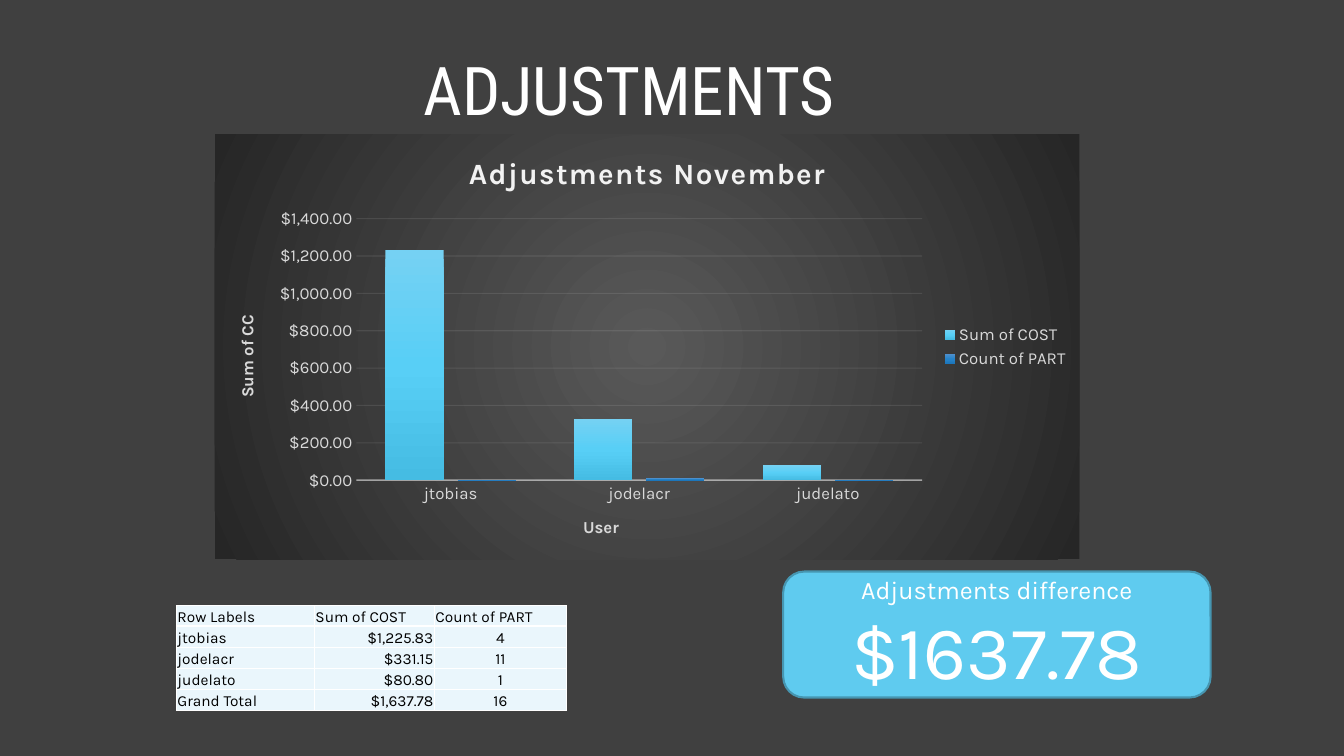
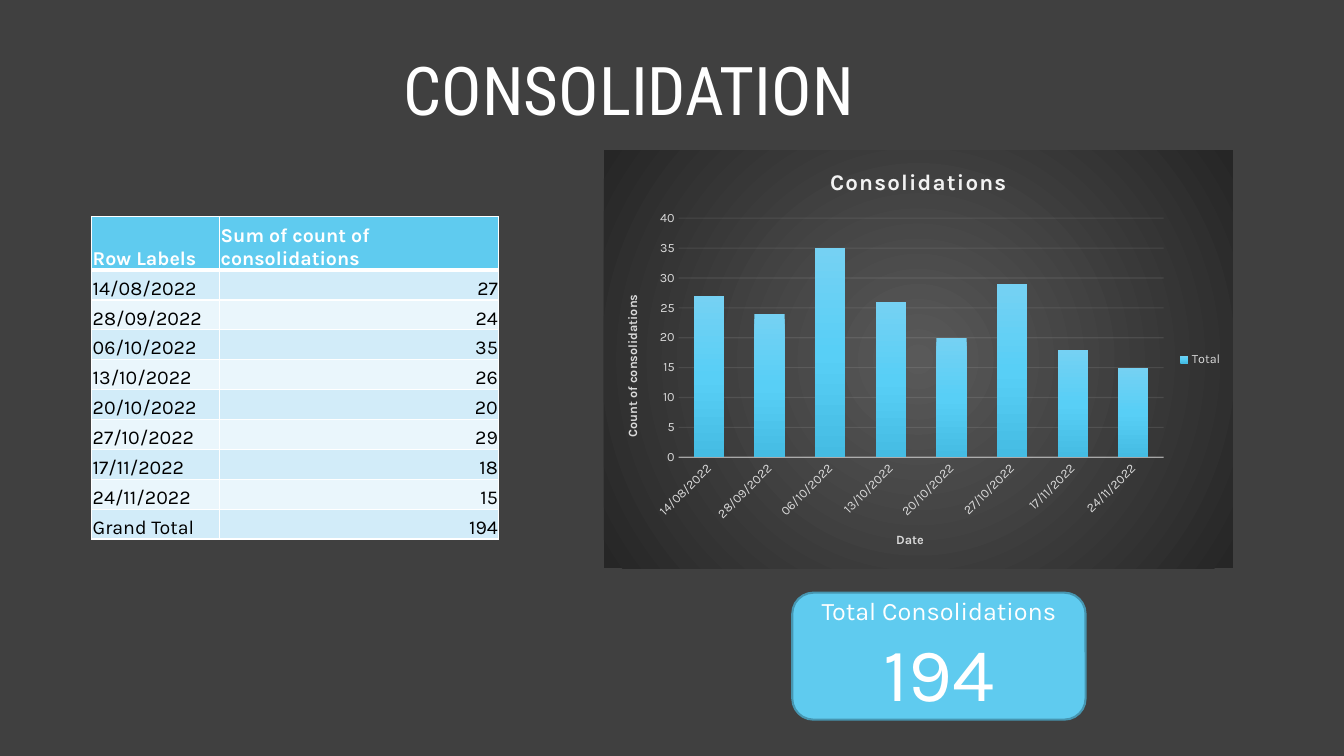
import dataclasses

import pptx
import pptx.chart.data
import pptx.dml.color
import pptx.enum.chart
import pptx.enum.shapes
import pptx.enum.text
import pptx.oxml
import pptx.oxml.ns
import pptx.util

Inches = pptx.util.Inches
Pt = pptx.util.Pt
ALIGN = pptx.enum.text.PP_ALIGN
ANCHOR = pptx.enum.text.MSO_ANCHOR
SIDES = {"l": ALIGN.LEFT, "c": ALIGN.CENTER, "r": ALIGN.RIGHT}


@dataclasses.dataclass(frozen=True)
class Theme:
    # Fonts
    head: str = "Roboto Condensed"
    body: str = "Karla"
    # Colours
    back: str = "404040"
    white: str = "FFFFFF"
    black: str = "000000"
    sky: str = "5FCBEF"
    edge: str = "4696B1"
    pale: str = "EAF6FC"
    band: str = "D2ECF9"
    label: str = "D9D9D9"
    rule: str = "F2F2F2"
    panel: tuple = ((0, "595959"), (100, "262626"))
    bars: tuple = (
        ((0, "75D1F3"), (50, "58CFF6"), (100, "45BCE3")),
        ((0, "5491CD"), (50, "2784CA"), (100, "1C76BB")),
    )
    # Type sizes
    title: int = 48
    figure: int = 54
    note: int = 18


THEME = Theme()


# Shared helpers
def color(code):
    return pptx.dml.color.RGBColor.from_string(code)


def place(box):
    return [Inches(side) for side in box]


def style(font, size, code, bold=False, face=THEME.body):
    font.name = face
    font.size = Pt(size)
    font.bold = bold
    font.color.rgb = color(code)


def write(para, text, size, code, align=ALIGN.LEFT, **look):
    para.alignment = align
    run = para.add_run()
    run.text = text
    style(run.font, size, code, **look)
    return run


def make(tag, inner, attrs=""):
    spaces = pptx.oxml.ns.nsdecls("a", "c")
    return pptx.oxml.parse_xml(f"<{tag} {spaces} {attrs}>{inner}</{tag}>")


def blend(stops, shade):
    marks = "".join(
        f'<a:gs pos="{pos * 1000}"><a:srgbClr val="{code}"/></a:gs>'
        for pos, code in stops
    )
    return make("a:gradFill", f"<a:gsLst>{marks}</a:gsLst>{shade}")


# Title
def add_title(slide, text, box):
    title = slide.shapes.title
    title.left, title.top, title.width, title.height = place(box)
    frame = title.text_frame
    frame.auto_size = pptx.enum.text.MSO_AUTO_SIZE.NONE
    frame.word_wrap = True
    frame.vertical_anchor = ANCHOR.BOTTOM
    frame.margin_left = frame.margin_right = 0
    write(frame.paragraphs[0], text, THEME.title, THEME.white,
          ALIGN.CENTER, face=THEME.head)


# Rounded box with a label and a large figure
def add_total(slide, label, figure, box):
    kind = pptx.enum.shapes.MSO_SHAPE.ROUNDED_RECTANGLE
    card = slide.shapes.add_shape(kind, *place(box))
    card.shadow.inherit = False
    card.fill.solid()
    card.fill.fore_color.rgb = color(THEME.sky)
    card.line.color.rgb = color(THEME.edge)
    card.line.width = Pt(1.5)
    frame = card.text_frame
    frame.word_wrap = True
    frame.vertical_anchor = ANCHOR.MIDDLE
    write(frame.paragraphs[0], label, THEME.note, THEME.white, ALIGN.CENTER)
    write(frame.add_paragraph(), figure, THEME.figure, THEME.white, ALIGN.CENTER)


# Table
def add_edges(cell, base):
    props = cell._tc.get_or_add_tcPr()
    widths = {"lnL": 1, "lnR": 1, "lnT": 1, "lnB": base}
    for spot, (side, width) in enumerate(widths.items()):
        fill = f'<a:solidFill><a:srgbClr val="{THEME.white}"/></a:solidFill>'
        props.insert(spot, make(f"a:{side}", fill, f'w="{Pt(width)}"'))


def add_grid(slide, rows, spot, cols, first, height, size, aligns, banded):
    box = (*spot, sum(cols), height)
    table = slide.shapes.add_table(len(rows), len(cols), *place(box)).table
    table.first_row = banded
    table.horz_banding = banded
    for col, width in zip(table.columns, cols):
        col.width = Inches(width)
    rest = (height - first) / (len(rows) - 1)
    for r, row in enumerate(rows):
        table.rows[r].height = Inches(rest if r else first)
        head = banded and r == 0
        fill = THEME.band if banded and r % 2 else THEME.pale
        for c, text in enumerate(row):
            cell = table.cell(r, c)
            cell.margin_left = cell.margin_right = cell.margin_top = Inches(0.01)
            cell.margin_bottom = 0
            cell.vertical_anchor = ANCHOR.BOTTOM
            cell.fill.solid()
            cell.fill.fore_color.rgb = color(THEME.sky if head else fill)
            write(cell.text_frame.paragraphs[0], text, size,
                  THEME.white if head else THEME.black,
                  SIDES[aligns[c]] if r else ALIGN.LEFT, bold=head)
            add_edges(cell, 3 if head else 1)


# Column chart
def add_axis(axis, name, size):
    axis.major_tick_mark = axis.minor_tick_mark = pptx.enum.chart.XL_TICK_MARK.NONE
    style(axis.tick_labels.font, size, THEME.label)
    para = axis.axis_title.text_frame.paragraphs[0]
    write(para, name, size, THEME.label, ALIGN.CENTER, bold=True)


def draw_rule(line, width):
    line.color.rgb = color(THEME.rule)
    line.width = Pt(width)


def add_plot(slide, box, title, names, cats, series, top, step, form, size, big, tilt=0):
    data = pptx.chart.data.CategoryChartData(number_format=form)
    data.categories = cats
    for name, values in series:
        data.add_series(name, values)
    kind = pptx.enum.chart.XL_CHART_TYPE.COLUMN_CLUSTERED
    chart = slide.shapes.add_chart(kind, *place(box), data).chart
    style(chart.font, 10, THEME.black)
    run = write(chart.chart_title.text_frame.paragraphs[0], title, big,
                THEME.rule, ALIGN.CENTER, bold=True)
    run.font._element.set("spc", "100")
    chart.chart_title.include_in_layout = False

    # Legend
    chart.has_legend = True
    chart.legend.position = pptx.enum.chart.XL_LEGEND_POSITION.RIGHT
    chart.legend.include_in_layout = False
    style(chart.legend.font, size, THEME.label)

    # Axes
    across, upright = chart.category_axis, chart.value_axis
    for axis, name in zip((across, upright), names):
        add_axis(axis, name, size)
    draw_rule(across.format.line, 1)
    upright.format.line.fill.background()
    upright.minimum_scale, upright.maximum_scale = 0, top
    upright.major_unit = step
    upright.tick_labels.number_format = form
    upright.tick_labels.number_format_is_linked = False
    upright.has_major_gridlines = True
    draw_rule(upright.major_gridlines.format.line, 0.75)

    # Line transparency and text angles
    root = chart.element
    for query, share in (("//c:catAx/c:spPr", 54), ("//c:majorGridlines", 10)):
        for tint in root.xpath(query + "//a:srgbClr"):
            tint.append(make("a:alpha", "", f'val="{share * 1000}"'))
    for query, turn in (("//c:catAx/c:txPr", tilt), ("//c:valAx/c:title", -90)):
        for body in root.xpath(query + "//a:bodyPr"):
            body.set("rot", str(turn * 60000))
            body.set("vert", "horz")

    # Columns and panel
    plot = chart.plots[0]
    plot.vary_by_categories = False
    plot.gap_width, plot.overlap = 100, -24
    for bar, stops in zip(plot.series, THEME.bars):
        bar.format.line.fill.background()
        bar._element.get_or_add_spPr().insert(
            0, blend(stops, '<a:lin ang="5400000" scaled="0"/>'))
    panel = make("c:spPr", "<a:ln><a:noFill/></a:ln>")
    panel.insert(0, blend(
        THEME.panel,
        '<a:path path="circle"><a:fillToRect l="50000" t="50000" '
        'r="50000" b="50000"/></a:path>'))
    root.xpath("c:chart")[0].addnext(panel)


def add_page(deck, title):
    slide = deck.slides.add_slide(deck.slide_layouts[5])
    add_title(slide, title, (2.32, 0.36, 7.84, 0.97))
    return slide


def show_costs(deck):
    slide = add_page(deck, "ADJUSTMENTS")
    users = ["jtobias", "jodelacr", "judelato"]
    heads = ("Sum of COST", "Count of PART")
    rows = [
        ("Row Labels", *heads),
        ("jtobias", "$1,225.83", "4"),
        ("jodelacr", "$331.15", "11"),
        ("judelato", "$80.80", "1"),
        ("Grand Total", "$1,637.78", "16"),
    ]
    add_total(slide, "Adjustments difference", "$1637.78", (7.77, 5.67, 4.24, 1.25))
    add_grid(slide, rows, (1.75, 6.01), (1.37, 1.19, 1.31), 0.2, 1.04,
             11, "lrc", False)
    add_plot(slide, (2.13, 1.33, 8.58, 4.22), "Adjustments November",
             ("User", "Sum of CC"), users,
             zip(heads, ([1230, 330, 80], [0, 10, 0])),
             1400, 200, '"$"#,##0.00', 12, 21)


def show_counts(deck):
    slide = add_page(deck, "CONSOLIDATION")
    dates = ["14/08/2022", "28/09/2022", "06/10/2022", "13/10/2022",
             "20/10/2022", "27/10/2022", "17/11/2022", "24/11/2022"]
    counts = [27, 24, 35, 26, 20, 29, 18, 15]
    total = str(sum(counts))
    rows = [("Row Labels", "Sum of count of consolidations"),
            *zip(dates, map(str, counts)), ("Grand Total", total)]
    add_plot(slide, (5.99, 1.49, 6.24, 4.15), "Consolidations",
             ("Date", "Count of consolidations"), dates, [("Total", counts)],
             40, 5, "General", 9, 16, tilt=-45)
    add_total(slide, "Total Consolidations", total, (7.86, 5.88, 2.91, 1.26))
    add_grid(slide, rows, (0.91, 2.15), (1.27, 2.77), 0.53, 3.2, 14, "lr", True)


def main():
    deck = pptx.Presentation()
    deck.slide_width, deck.slide_height = Inches(40 / 3), Inches(7.5)
    back = deck.slide_master.background.fill
    back.solid()
    back.fore_color.rgb = color(THEME.back)
    show_costs(deck)
    show_counts(deck)
    deck.save("out.pptx")


if __name__ == "__main__":
    main()
